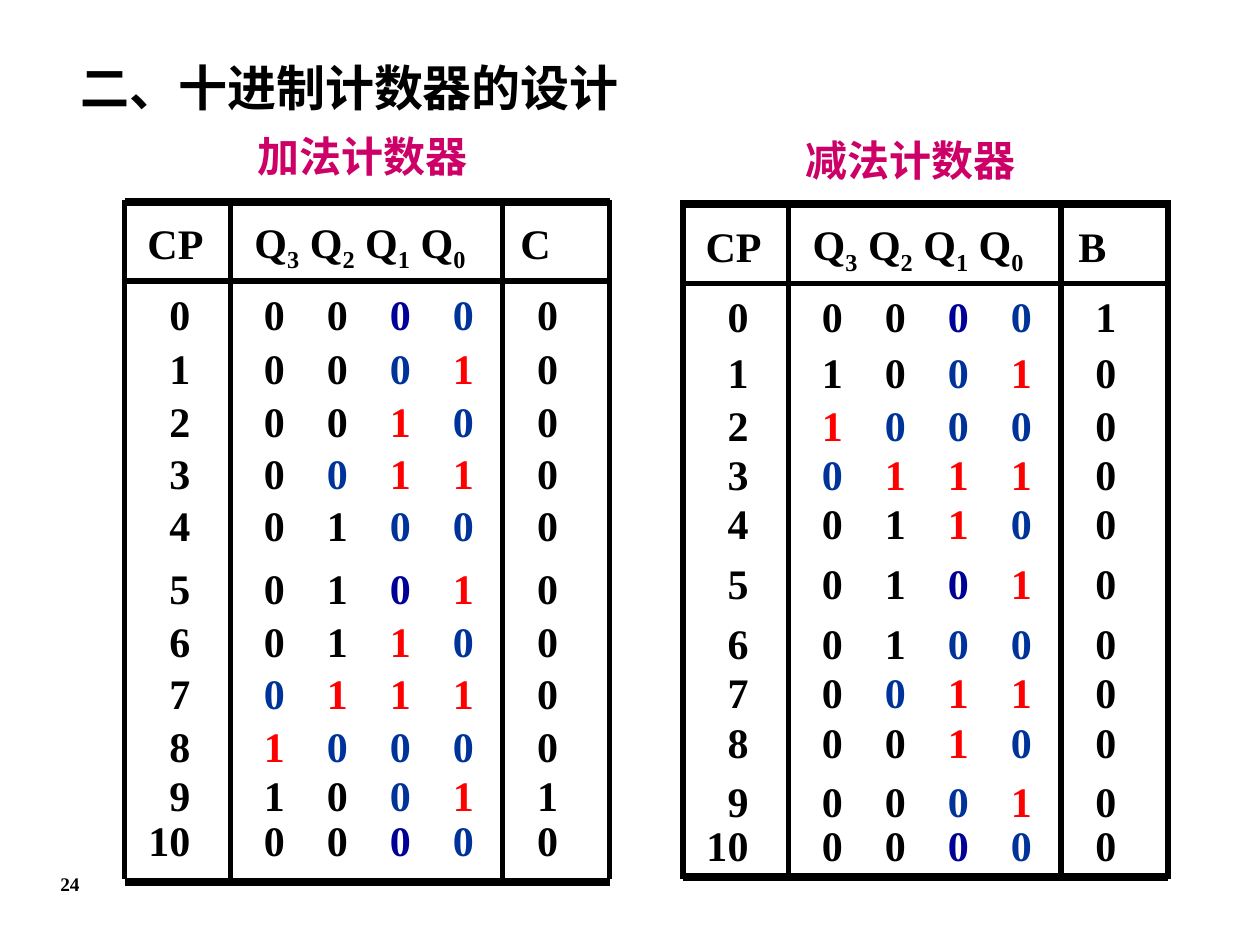
"""Build a slide comparing the truth tables of decade up and down counters."""
from lxml import etree
from pptx import Presentation
from pptx import util as u
from pptx.dml import color
from pptx.enum import shapes, text
from pptx.oxml import ns

FONT = "Times New Roman"
INK = {"K": "000000", "N": "000099", "B": "003399", "R": "FF0000"}
DIGIT_INKS = ["KKNB", "KKBR", "KKRB", "KBRR", "KKBB", "KKNR", "KKRB", "BRRR", "RBBB", "KKBR"]
COL_WIDTHS = [0.84, 0.51, 0.5, 0.5, 0.65, 0.86]
RIGHT_MARGINS = [0.32, 0.08, 0.08, 0.08, 0.23, 0.42]
HEADER_MARGINS = {0: 0.18, 1: 0.19, 5: 0.14}
HEADER_HEIGHT = 0.63
RULE_OFFSETS = [0, 0.84, 3, 3.85]
NO_GRID_STYLE = "{2D5ABB26-0587-4C30-8999-92F81FD0307C}"

COUNTERS = [
    {"name": "加法计数器", "name_at": (1.46, 0.99), "left": 0.99, "top": 1.6, "bottom": 7,
     "step": 1, "flag": "C", "flag_row": 9,
     "row_tops": [2.79, 3.21, 3.62, 4.04, 4.54, 4.96, 5.37, 5.79, 6.18, 6.54]},
    {"name": "减法计数器", "name_at": (5.81, 1.02), "left": 5.42, "top": 1.62, "bottom": 6.96,
     "step": -1, "flag": "B", "flag_row": 0,
     "row_tops": [2.82, 3.24, 3.63, 4.02, 4.5, 4.97, 5.36, 5.76, 6.23, 6.58]},
]


def style(p, size, ink, align):
    """Format one bold paragraph."""
    p.alignment = align
    p.font.name, p.font.size, p.font.bold = FONT, u.Pt(size), True
    p.font.color.rgb = color.RGBColor.from_string(ink)


def rule(s, x1, y1, x2, y2, points):
    """Draw one black line."""
    line = s.shapes.add_connector(
        shapes.MSO_CONNECTOR.STRAIGHT, u.Inches(x1), u.Inches(y1), u.Inches(x2), u.Inches(y2))
    line.line.color.rgb = color.RGBColor.from_string(INK["K"])
    line.line.width = u.Pt(points)
    etree.SubElement(line._element.spPr, ns.qn("a:effectLst"))


prs = Presentation()
prs.slide_width, prs.slide_height = u.Inches(10), u.Inches(7.5)
s = prs.slides.add_slide(prs.slide_layouts[5])
center, left, right = text.PP_ALIGN.CENTER, text.PP_ALIGN.LEFT, text.PP_ALIGN.RIGHT

title = s.shapes.title
title.left, title.top = u.Inches(0.37), u.Inches(0.32)
title.width, title.height = u.Inches(4.81), u.Inches(0.74)
title.text_frame.text = "二、十进制计数器的设计"
title.text_frame.vertical_anchor = text.MSO_ANCHOR.MIDDLE
style(title.text_frame.paragraphs[0], 28, INK["K"], center)

labels = [(c["name"], *c["name_at"], 2.84, 0.5, 24, "CC0066") for c in COUNTERS]
labels.append(("24", 0.06, 6.87, 0.99, 0.37, 11, INK["K"]))
for words, x, y, w, h, size, ink in labels:
    tf = s.shapes.add_textbox(u.Inches(x), u.Inches(y), u.Inches(w), u.Inches(h)).text_frame
    tf.word_wrap = True
    tf.text = words
    style(tf.paragraphs[0], size, ink, center)

for counter in COUNTERS:
    x, top, bottom = counter["left"], counter["top"], counter["bottom"]
    edges = [top, top + HEADER_HEIGHT, *counter["row_tops"], bottom]
    rows = len(edges) - 1
    table = s.shapes.add_table(
        rows, len(COL_WIDTHS), u.Inches(x), u.Inches(top),
        u.Inches(sum(COL_WIDTHS)), u.Inches(bottom - top)).table
    table.first_row = table.horz_banding = False
    table._tbl.tblPr.find(ns.qn("a:tableStyleId")).text = NO_GRID_STYLE
    for col, width in zip(table.columns, COL_WIDTHS):
        col.width = u.Inches(width)
    for row, start, end in zip(table.rows, edges, edges[1:]):
        row.height = u.Inches(end - start)
    table.cell(0, 1).merge(table.cell(0, 4))

    for i in range(rows):
        step = i - 1
        state = step * counter["step"] % 10
        values = [str(step), *f"{state:04b}", str(int(step == counter["flag_row"]))]
        inks = "K" + DIGIT_INKS[state] + "K"
        if i == 0:
            values = ["CP", "Q3 Q2 Q1 Q0", "", "", "", counter["flag"]]
            inks = "K" * 6
        for j, value in enumerate(values):
            cell = table.cell(i, j)
            cell.fill.background()
            cell.margin_left = u.Inches(0 if i else HEADER_MARGINS.get(j, 0))
            cell.margin_right = u.Inches(RIGHT_MARGINS[j] if i else 0)
            cell.margin_top = u.Inches({0: 0.24 if j == 1 else 0.2, 1: 0.13}.get(i, 0))
            cell.margin_bottom = 0
            p = cell.text_frame.paragraphs[0]
            p.line_spacing = u.Pt(24)
            style(p, 24, INK[inks[j]], right if i else left)
            if i == 0 and j == 1:
                for k, name in enumerate(value.split()):
                    p.add_run().text = (" " if k else "") + name[0]
                    r = p.add_run()
                    r.text = name[1]
                    r.font._element.set("baseline", "-25000")
            elif value:
                p.add_run().text = value

    for y, points in [(top, 4.5), (top + HEADER_HEIGHT, 3), (bottom, 4.5)]:
        rule(s, x, y, x + RULE_OFFSETS[-1], y, points)
    for offset in RULE_OFFSETS:
        rule(s, x + offset, 1.59, x + offset, 6.98, 3)

prs.save("out.pptx")
